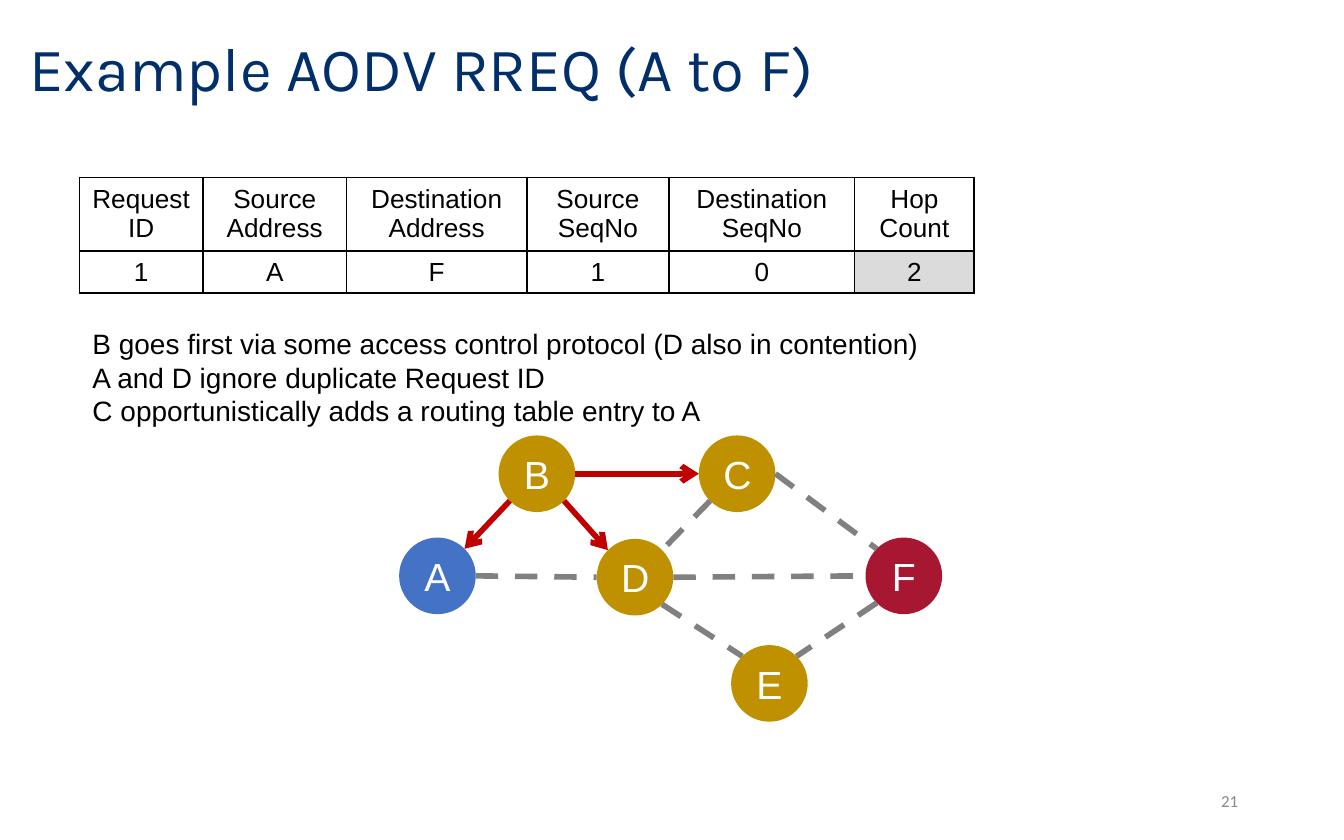
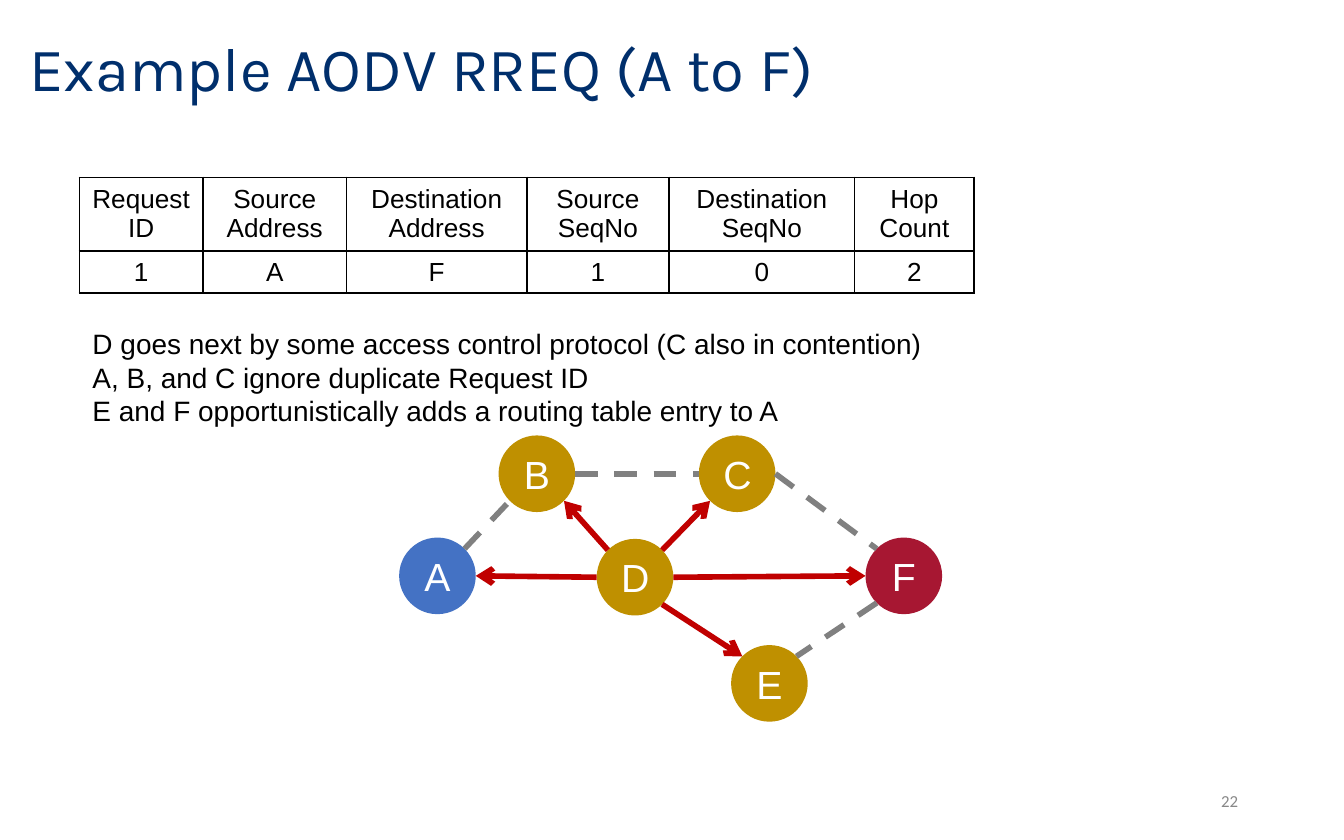
import math

import lxml.etree
import pptx
import pptx.dml.color
import pptx.enum.dml
import pptx.enum.shapes
import pptx.enum.text
import pptx.oxml.ns
import pptx.util

RGB = pptx.dml.color.RGBColor
NAVY = RGB(0x00, 0x2F, 0x6C)
BLACK = RGB(0x00, 0x00, 0x00)
WHITE = RGB(0xFF, 0xFF, 0xFF)
SILVER = RGB(0xDB, 0xDB, 0xDB)
GRAY = RGB(0x80, 0x80, 0x80)
PALE = RGB(0x88, 0x88, 0x88)
BLUE = RGB(0x44, 0x72, 0xC4)
GOLD = RGB(0xBF, 0x90, 0x00)
WINE = RGB(0xA7, 0x17, 0x32)
RED = RGB(0xC0, 0x00, 0x00)

WIDTH = pptx.util.Inches(10)
HEIGHT = pptx.util.Inches(6.25)
ALIGN = pptx.enum.text.PP_ALIGN
ANCHOR = pptx.enum.text.MSO_ANCHOR
qn = pptx.oxml.ns.qn

TITLE = "Example AODV RREQ (A to F)"
HEADS = ["Request ID", "Source Address", "Destination Address",
         "Source SeqNo", "Destination\nSeqNo", "Hop Count"]
VALUES = ["1", "A", "F", "1", "0", "2"]

# Lengths are percent of the slide's width (across) and height (down).
COLS = [9.2, 10.7, 13.4, 10.6, 13.8, 8.9]
ROWS = [8.48, 4.88]
NODE = 5.7
NODES = {
    "A": (29.7, 64, BLUE),
    "B": (37.1, 51.84, GOLD),
    "C": (52, 51.84, GOLD),
    "D": (44.4, 64.16, GOLD),
    "E": (54.4, 76.8, GOLD),
    "F": (64.4, 64, WINE),
}
# Each link joins a node's side to another node's side.
LINKS = [
    ("A", "NE", "B", "SW"),
    ("B", "E", "C", "W"),
    ("B", "SE", "D", "NW"),
    ("C", "SW", "D", "NE"),
    ("C", "E", "F", "NW"),
    ("D", "E", "F", "W"),
    ("D", "SE", "E", "NW"),
    ("F", "SW", "E", "NE"),
    ("A", "E", "D", "W"),
]
ANGLES = {"E": 0, "SE": 45, "SW": 135, "W": 180, "NW": 225, "NE": 315}

# Page number, sending node, fill of the hop count, notes on the step.
STEPS = [
    (21, "B", SILVER, [
        "B goes first via some access control protocol (D also in contention)",
        "A and D ignore duplicate Request ID\n"
        "C opportunistically adds a routing table entry to A"]),
    (22, "D", WHITE, [
        "D goes next by some access control protocol (C also in contention)",
        "A, B, and C ignore duplicate Request ID\n"
        "E and F opportunistically adds a routing table entry to A"]),
]


def across(share):
    return round(WIDTH * share / 100)


def down(share):
    return round(HEIGHT * share / 100)


def box(x, y, w, h):
    return across(x), down(y), across(w), down(h)


def write(frame, paras, size, color, font="Arial", align=ALIGN.LEFT):
    """Fill a text frame; a newline inside a paragraph is a line break."""
    for i, text in enumerate(paras):
        para = frame.add_paragraph() if i else frame.paragraphs[0]
        para.alignment = align
        for j, line in enumerate(text.split("\n")):
            if j:
                para.add_line_break()
            run = para.add_run()
            run.text = line
            run.font.size = pptx.util.Pt(size)
            run.font.name = font
            run.font.color.rgb = color


def add_text(slide, place, paras, size, color, anchor=ANCHOR.TOP, **style):
    frame = slide.shapes.add_textbox(*box(*place)).text_frame
    frame.word_wrap = True
    frame.vertical_anchor = anchor
    write(frame, paras, size, color, **style)
    return frame


def add_frame(slide, page):
    """Add the title and page number that each slide has."""
    title = add_text(slide, (1.2, 1.6, 85.2, 13.76), [TITLE], 33, NAVY,
                     ANCHOR.MIDDLE, font="Karla")
    title.paragraphs[0].line_spacing = 0.9
    add_text(slide, (70.6, 92.64, 22.5, 5.28), [str(page)], 9, PALE,
             ANCHOR.MIDDLE, font="Calibri", align=ALIGN.RIGHT)


def add_node(slide, name):
    x, y, color = NODES[name]
    size = across(NODE)
    node = slide.shapes.add_shape(pptx.enum.shapes.MSO_SHAPE.OVAL,
                                  across(x), down(y), size, size)
    node.shadow.inherit = False
    node.fill.solid()
    node.fill.fore_color.rgb = color
    node.line.fill.background()
    frame = node.text_frame
    frame.vertical_anchor = ANCHOR.MIDDLE
    write(frame, [name], 21, WHITE, align=ALIGN.CENTER)


def find_side(name, side):
    """Return the point on a node's rim at a compass side."""
    x, y, _ = NODES[name]
    turn = math.radians(ANGLES[side])
    half = across(NODE) / 2
    return (round(across(x) + half * (1 + math.cos(turn))),
            round(down(y) + half * (1 + math.sin(turn))))


def add_link(slide, link, sender):
    """Draw an arrow away from the sender, or a dashed line elsewhere."""
    start, leave, end, enter = link
    wire = slide.shapes.add_connector(
        pptx.enum.shapes.MSO_CONNECTOR.STRAIGHT,
        *find_side(start, leave), *find_side(end, enter))
    line = wire.line
    line.width = pptx.util.Pt(3)
    if sender in (start, end):
        line.color.rgb = RED
        tip = "a:tailEnd" if sender == start else "a:headEnd"
        lxml.etree.SubElement(line.fill._xPr, qn(tip), type="arrow")
    else:
        line.color.rgb = GRAY
        line.dash_style = pptx.enum.dml.MSO_LINE.DASH
    lxml.etree.SubElement(wire.element.spPr, qn("a:effectLst"))


def add_edges(cell):
    props = cell._tc.get_or_add_tcPr()
    for i, side in enumerate("LRTB"):
        edge = lxml.etree.Element(qn("a:ln" + side),
                                  w=str(pptx.util.Pt(1)))
        fill = lxml.etree.SubElement(edge, qn("a:solidFill"))
        lxml.etree.SubElement(fill, qn("a:srgbClr"), val=str(BLACK))
        props.insert(i, edge)


def add_request(slide, hop_fill):
    """Add the table of request fields."""
    table = slide.shapes.add_table(
        len(ROWS), len(COLS),
        *box(5.9, 21.12, sum(COLS), sum(ROWS))).table
    table.first_row = table.horz_banding = False
    for col, share in zip(table.columns, COLS):
        col.width = across(share)
    for row, share, texts in zip(table.rows, ROWS, (HEADS, VALUES)):
        row.height = down(share)
        for cell, text in zip(row.cells, texts):
            cell.margin_left = cell.margin_right = pptx.util.Inches(0.07)
            cell.margin_top = cell.margin_bottom = pptx.util.Inches(0.04)
            cell.vertical_anchor = ANCHOR.MIDDLE
            cell.fill.solid()
            cell.fill.fore_color.rgb = WHITE
            add_edges(cell)
            write(cell.text_frame, [text], 14, BLACK, align=ALIGN.CENTER)
    table.cell(1, len(COLS) - 1).fill.fore_color.rgb = hop_fill


def add_notes(slide, notes):
    frame = add_text(slide, (5.9, 38.08, 85.3, 13.76), notes, 15, BLACK)
    frame.auto_size = pptx.enum.text.MSO_AUTO_SIZE.SHAPE_TO_FIT_TEXT


def main():
    deck = pptx.Presentation()
    deck.slide_width = WIDTH
    deck.slide_height = HEIGHT
    for page, sender, hop_fill, notes in STEPS:
        slide = deck.slides.add_slide(deck.slide_layouts[6])
        add_frame(slide, page)
        for name in NODES:
            add_node(slide, name)
        for link in LINKS:
            add_link(slide, link, sender)
        add_request(slide, hop_fill)
        add_notes(slide, notes)
    deck.save("out.pptx")


if __name__ == "__main__":
    main()
